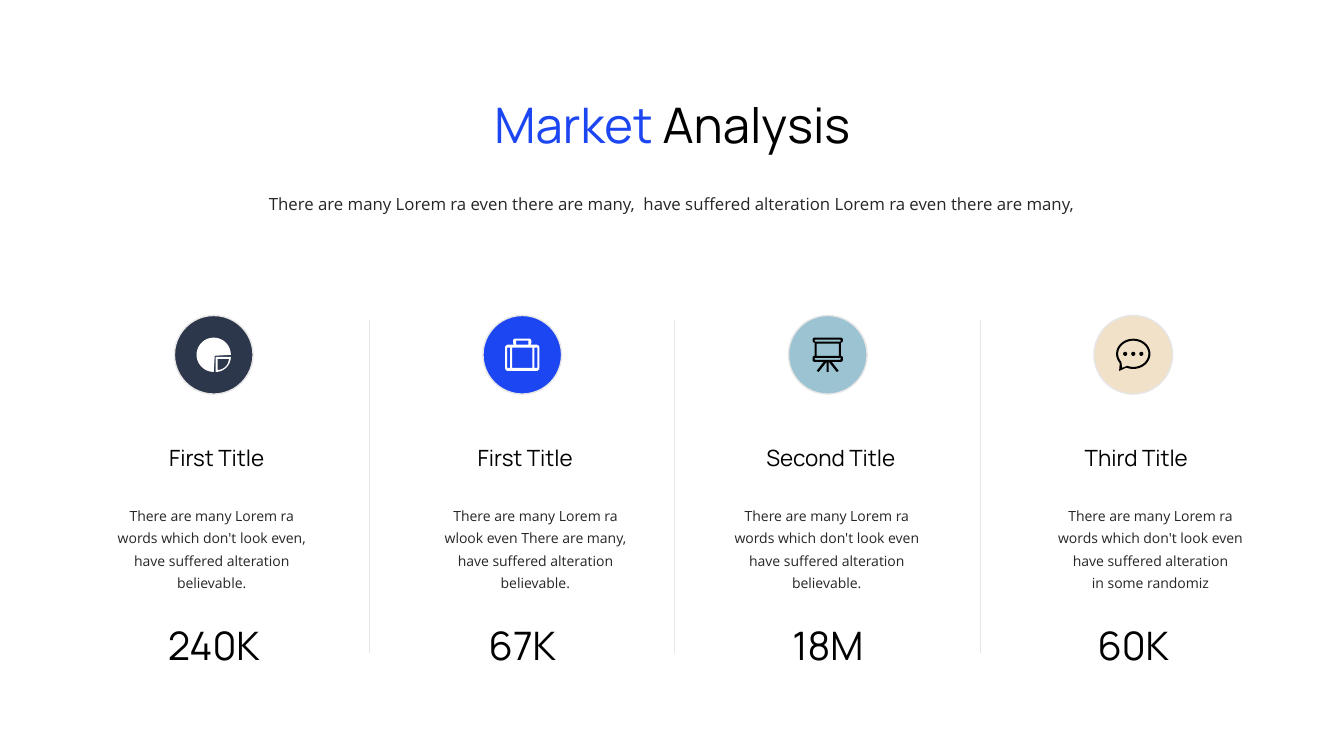
import math

import pptx
import pptx.dml.color
import pptx.enum.shapes
import pptx.enum.text
import pptx.oxml
import pptx.util

SLIDE_W, SLIDE_H = 13.33, 7.5
COL_W, FIRST_CENTER = 3.03, 2.15
ICON_ROW, TITLE_ROW, TEXT_ROW, VALUE_ROW = 3.52, 4.35, 4.93, 6.11
BLUE, BLACK, WHITE, GRAY, RULE = "1C46F2", "000000", "FFFFFF", "262626", "E7E6E6"
HEAD_FONT, BODY_FONT = "Manrope", "Open Sans"


def color(value):
    return pptx.dml.color.RGBColor.from_string(value)


def inches(*values):
    return [pptx.util.Inches(v) for v in values]


def format_run(r, size, font, fill):
    r.font.size = pptx.util.Pt(size)
    r.font.name = font
    r.font.color.rgb = color(fill)


def format_paragraph(p, spacing):
    p.alignment = pptx.enum.text.PP_ALIGN.CENTER
    if spacing:
        p.line_spacing = pptx.util.Pt(spacing)


def format_frame(tf):
    tf.word_wrap = True
    tf.vertical_anchor = pptx.enum.text.MSO_ANCHOR.TOP
    tf.auto_size = pptx.enum.text.MSO_AUTO_SIZE.SHAPE_TO_FIT_TEXT


def add_title(s, first, rest):
    sp = s.shapes.title
    sp.left, sp.top, sp.width, sp.height = inches(4.2, 0.85, 4.94, 0.71)
    format_frame(sp.text_frame)
    p = sp.text_frame.paragraphs[0]
    p.text = first
    p.add_run().text = rest
    format_paragraph(p, 45)
    for r, fill in zip(p.runs, (BLUE, BLACK)):
        format_run(r, 35, HEAD_FONT, fill)


def add_text(s, center, top, width, height, text, size, font, fill, spacing=None):
    sp = s.shapes.add_textbox(*inches(center - width / 2, top, width, height))
    tf = sp.text_frame
    tf.text = text
    format_frame(tf)
    for p in tf.paragraphs:
        format_paragraph(p, spacing)
        for r in p.runs:
            format_run(r, size, font, fill)


def add_divider(s, x):
    line = s.shapes.add_connector(
        pptx.enum.shapes.MSO_CONNECTOR.STRAIGHT, *inches(x, 3.17, x, 6.48))
    line.line.color.rgb = color(RULE)
    line.line.width = pptx.util.Pt(0.5)
    line._element.spPr.append(pptx.oxml.parse_xml(
        '<a:effectLst xmlns:a="http://schemas.openxmlformats.org/drawingml/2006/main"/>'))


def add_badge(s, center, fill):
    size = 0.78
    sp = s.shapes.add_shape(
        pptx.enum.shapes.MSO_SHAPE.OVAL,
        *inches(center - size / 2, ICON_ROW - size / 2, size, size))
    sp.shadow.inherit = False
    sp.fill.solid()
    sp.fill.fore_color.rgb = color(fill)
    sp.line.color.rgb = color(RULE)
    sp.line.width = pptx.util.Pt(1)


def add_icon(s, center, contours, fill):
    placed = [[inches(center + x, ICON_ROW + y) for x, y in c] for c in contours]
    builder = s.shapes.build_freeform(*placed[0][0])
    for i, points in enumerate(placed):
        if i:
            builder.move_to(*points[0])
        builder.add_line_segments(points[1:], close=True)
    sp = builder.convert_to_shape()
    sp.shadow.inherit = False
    sp.fill.solid()
    sp.fill.fore_color.rgb = color(fill)
    sp.line.fill.background()


def arc(cx, cy, rx, ry, start=0, end=360):
    steps = max(6, (end - start) // 8)
    angles = [math.radians(start + (end - start) * i / steps) for i in range(steps + 1)]
    return [(cx + rx * math.cos(a), cy + ry * math.sin(a)) for a in angles]


def box(x0, y0, x1, y1, r=0):
    if not r:
        return [(x0, y0), (x1, y0), (x1, y1), (x0, y1)]
    return (arc(x1 - r, y1 - r, r, r, 0, 90) + arc(x0 + r, y1 - r, r, r, 90, 180)
            + arc(x0 + r, y0 + r, r, r, 180, 270) + arc(x1 - r, y0 + r, r, r, 270, 360))


def pie_icon():
    return [arc(0, 0, 0.17, 0.17, 90, 360) + [(0.01, 0.01)],
            [(0.02, 0.02)] + arc(0.02, 0.02, 0.15, 0.15, 0, 90),
            [(0.04, 0.04)] + arc(0.04, 0.04, 0.11, 0.11, 0, 90)]


def briefcase_icon():
    return [box(-0.17, -0.1, 0.17, 0.16, 0.03), box(-0.15, -0.07, -0.12, 0.13),
            box(-0.1, -0.07, 0.1, 0.13), box(0.12, -0.07, 0.15, 0.13),
            box(-0.09, -0.16, 0.09, -0.1, 0.02), box(-0.06, -0.14, 0.06, -0.1)]


def easel_icon():
    legs = [[(m * x, y) for x, y in ((0.01, 0.07), (0.04, 0.07), (0.11, 0.16), (0.09, 0.17))]
            for m in (-1, 1)]
    return [box(-0.15, -0.17, 0.15, -0.12, 0.02), box(-0.13, -0.15, 0.13, -0.13, 0.01),
            box(-0.13, -0.12, 0.13, 0.01), box(-0.11, -0.11, 0.11, 0.01),
            box(-0.15, 0.01, 0.15, 0.07, 0.02), box(-0.13, 0.03, 0.13, 0.05, 0.01),
            box(-0.01, 0.07, 0.01, 0.17)] + legs


def bubble_icon():
    dots = [arc(x, -0.01, 0.02, 0.02) for x in (-0.08, 0, 0.08)]
    return [arc(0, -0.01, 0.17, 0.15, 142, 474) + [(-0.14, 0.16)],
            arc(0, -0.01, 0.15, 0.13, 142, 474) + [(-0.11, 0.13)]] + dots


COLUMNS = [
    ("First Title", "There are many Lorem ra words which don't look even,\n"
     "have suffered alteration\nbelievable.", "240K", "2D374B", WHITE, pie_icon, -0.03, -0.02),
    ("First Title", "There are many Lorem ra wlook even There are many,\n"
     "have suffered alteration\nbelievable.", "67K", BLUE, WHITE, briefcase_icon, 0, 0.13),
    ("Second Title", "There are many Lorem ra words which don't look even "
     "have suffered alteration\nbelievable.", "18M", "9BC3D2", BLACK, easel_icon, 0, -0.01),
    ("Third Title", "There are many Lorem ra words which don't look even\n"
     "have suffered alteration\nin some randomiz", "60K", "F0E1C8", BLACK, bubble_icon, 0, 0.17),
]


def add_column(s, i, title, text, value, badge, ink, icon, shift, text_shift):
    center = FIRST_CENTER + i * COL_W + shift
    add_badge(s, center, badge)
    add_icon(s, center, icon(), ink)
    add_text(s, center + 0.03, TITLE_ROW, 1.6, 0.37, title, 16, HEAD_FONT, BLACK, 20)
    add_text(s, center + text_shift, TEXT_ROW, 2.11, 0.98, text, 10, BODY_FONT, GRAY, 16)
    add_text(s, center, VALUE_ROW, 1.19, 0.57, value, 28, HEAD_FONT, BLACK)


def main():
    prs = pptx.Presentation()
    prs.slide_width, prs.slide_height = inches(SLIDE_W, SLIDE_H)
    s = prs.slides.add_slide(prs.slide_layouts[5])
    add_title(s, "Market", " Analysis")
    add_text(s, SLIDE_W / 2, 1.85, 8.85, 0.31,
             "There are many Lorem ra even there are many,  "
             "have suffered alteration Lorem ra even there are many,",
             12, BODY_FONT, GRAY, 16)
    for i in range(len(COLUMNS) - 1):
        add_divider(s, 3.66 + i * COL_W)
    for i, column in enumerate(COLUMNS):
        add_column(s, i, *column)
    prs.save("out.pptx")


if __name__ == "__main__":
    main()
